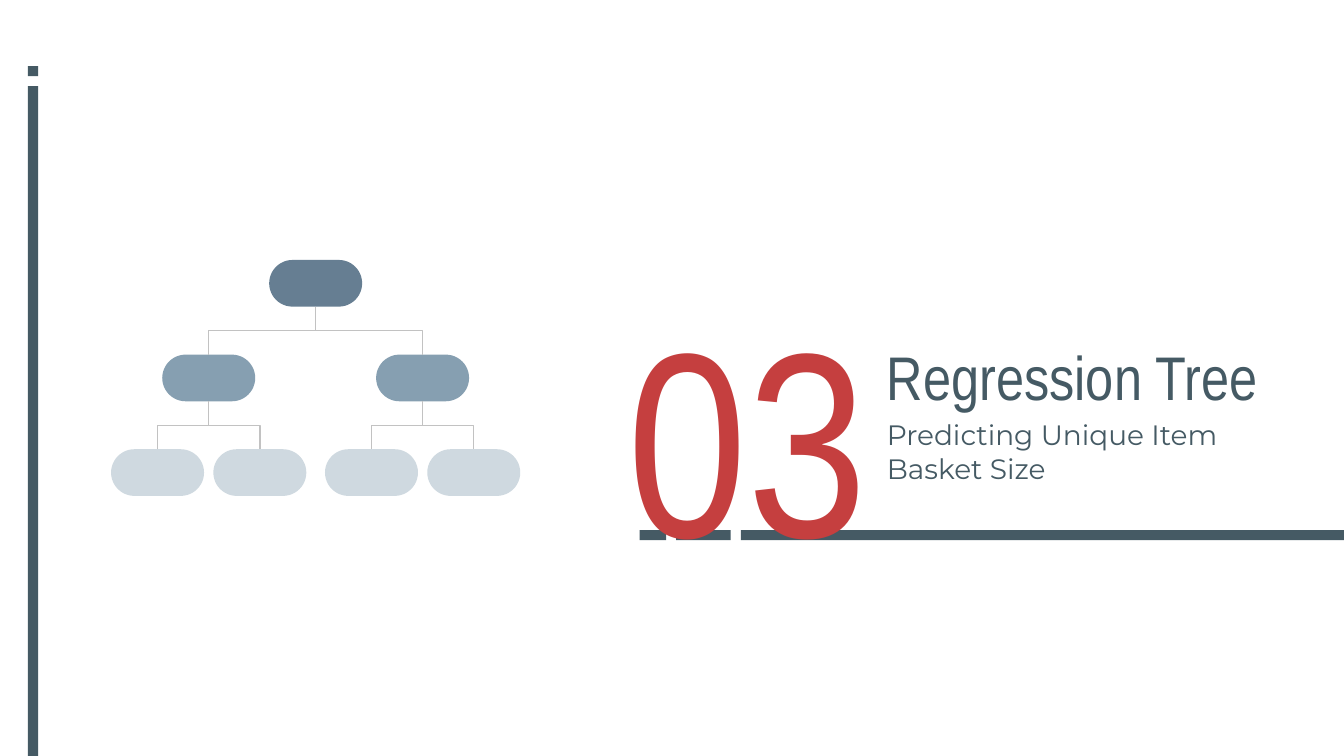
from lxml import etree
from pptx import Presentation
from pptx.dml.color import RGBColor
from pptx.enum.shapes import MSO_CONNECTOR, MSO_SHAPE
from pptx.enum.text import MSO_ANCHOR, PP_ALIGN
from pptx.oxml.ns import qn
from pptx.util import Pt

RECTANGLE = MSO_SHAPE.RECTANGLE
ROUNDED = MSO_SHAPE.ROUNDED_RECTANGLE
ELBOW = MSO_CONNECTOR.ELBOW
TOP, BOTTOM = MSO_ANCHOR.TOP, MSO_ANCHOR.BOTTOM
LEFT, CENTER = PP_ALIGN.LEFT, PP_ALIGN.CENTER

SLIDE_WIDTH, SLIDE_HEIGHT = 720, 405
SLATE, RED, GRAY = "455A64", "C53F3F", "C2C2C2"
LEVEL_COLORS = ["667E92", "869FB1", "CFD9E0"]
BAR = 5.4
NODE_WIDTH, NODE_HEIGHT = 49.8, 25


def color(value):
    return RGBColor.from_string(value)


def add_block(slide, kind, left, top, width, height, fill):
    shape = slide.shapes.add_shape(kind, Pt(left), Pt(top), Pt(width), Pt(height))
    shape.shadow.inherit = False
    shape.fill.solid()
    shape.fill.fore_color.rgb = color(fill)
    shape.line.fill.background()
    return shape


def add_text(slide, text, box, size, font, fill=SLATE, align=LEFT, anchor=TOP, spacing=1.0):
    left, top, width, height = box
    shape = slide.shapes.add_textbox(Pt(left), Pt(top), Pt(width), Pt(height))
    frame = shape.text_frame
    frame.word_wrap = True
    frame.vertical_anchor = anchor
    frame.margin_left = frame.margin_right = Pt(7.2)
    frame.margin_top = frame.margin_bottom = Pt(7.2)
    paragraph = frame.paragraphs[0]
    paragraph.alignment = align
    paragraph.line_spacing = spacing
    run = paragraph.add_run()
    run.text = text
    run.font.size = Pt(size)
    run.font.name = font
    run.font.color.rgb = color(fill)


def add_branch(slide, parent_x, parent_bottom, child_x, child_top):
    drop = child_top - parent_bottom
    spread = abs(child_x - parent_x)
    middle_x = (parent_x + child_x) / 2
    middle_y = (parent_bottom + child_top) / 2
    side = 1 if child_x < parent_x else -1
    connector = slide.shapes.add_connector(
        ELBOW,
        Pt(middle_x - side * drop / 2), Pt(middle_y - spread / 2),
        Pt(middle_x + side * drop / 2), Pt(middle_y + spread / 2),
    )
    connector.line.color.rgb = color(GRAY)
    connector.line.width = Pt(0.75)
    properties = connector._element.spPr
    properties.find(qn("a:xfrm")).set("rot", str(270 * 60000))
    etree.SubElement(properties, qn("a:effectLst"))


def add_side_rule(slide, box):
    left, top, width, height = box
    add_block(slide, RECTANGLE, left, top, width, width, SLATE)
    add_block(slide, RECTANGLE, left, top + 2 * width, width, height - 2 * width, SLATE)


def add_bottom_rule(slide, box):
    left, top, width, height = box
    right = left + width
    for length in (14.2, 29.2, width):
        length = min(length, right - left)
        add_block(slide, RECTANGLE, left, top, length, height, SLATE)
        left += length + height


def add_heading(slide, box):
    left, top, width, height = box
    text_left, text_width = left + 172, 217.4
    add_text(slide, "Regression Tree", (text_left, top + 12.9, text_width, 100.8), 33,
             "Arial Narrow", anchor=BOTTOM)
    add_text(slide, "Predicting Unique Item Basket Size",
             (text_left, top + 102.2, text_width, 45.4), 15, "Montserrat")
    add_text(slide, "03", (left, top, 208.8, height), 141, "Arial Narrow",
             fill=RED, align=CENTER, spacing=1.15)


def add_tree(slide, box):
    left, top, width, height = box
    center = left + width / 2
    step = (height - NODE_HEIGHT) / 2
    level_offsets = [57.3, 27.4]
    levels = [[center]]
    for offset in level_offsets:
        levels.append([x + sign * offset for x in levels[-1] for sign in (-1, 1)])
    for depth, (centers, fill) in enumerate(zip(levels, LEVEL_COLORS)):
        for x in centers:
            node = add_block(slide, ROUNDED, x - NODE_WIDTH / 2, top + depth * step,
                             NODE_WIDTH, NODE_HEIGHT, fill)
            node.adjustments[0] = 0.5
    for depth, children in enumerate(levels[1:], start=1):
        child_top = top + depth * step
        parent_bottom = child_top - step + NODE_HEIGHT
        for index, child_x in enumerate(children):
            add_branch(slide, levels[depth - 1][index // 2], parent_bottom, child_x, child_top)


def main():
    presentation = Presentation()
    presentation.slide_width = Pt(SLIDE_WIDTH)
    presentation.slide_height = Pt(SLIDE_HEIGHT)
    slide = presentation.slides.add_slide(presentation.slide_layouts[6])
    add_bottom_rule(slide, (342.7, 284, SLIDE_WIDTH - 342.7, BAR))
    add_side_rule(slide, (15, 35.4, BAR, SLIDE_HEIGHT - 35.4))
    add_heading(slide, (296, 114.5, 389.4, 144))
    add_tree(slide, (59.5, 139.3, 219.2, 126.4))
    presentation.save("out.pptx")


if __name__ == "__main__":
    main()
